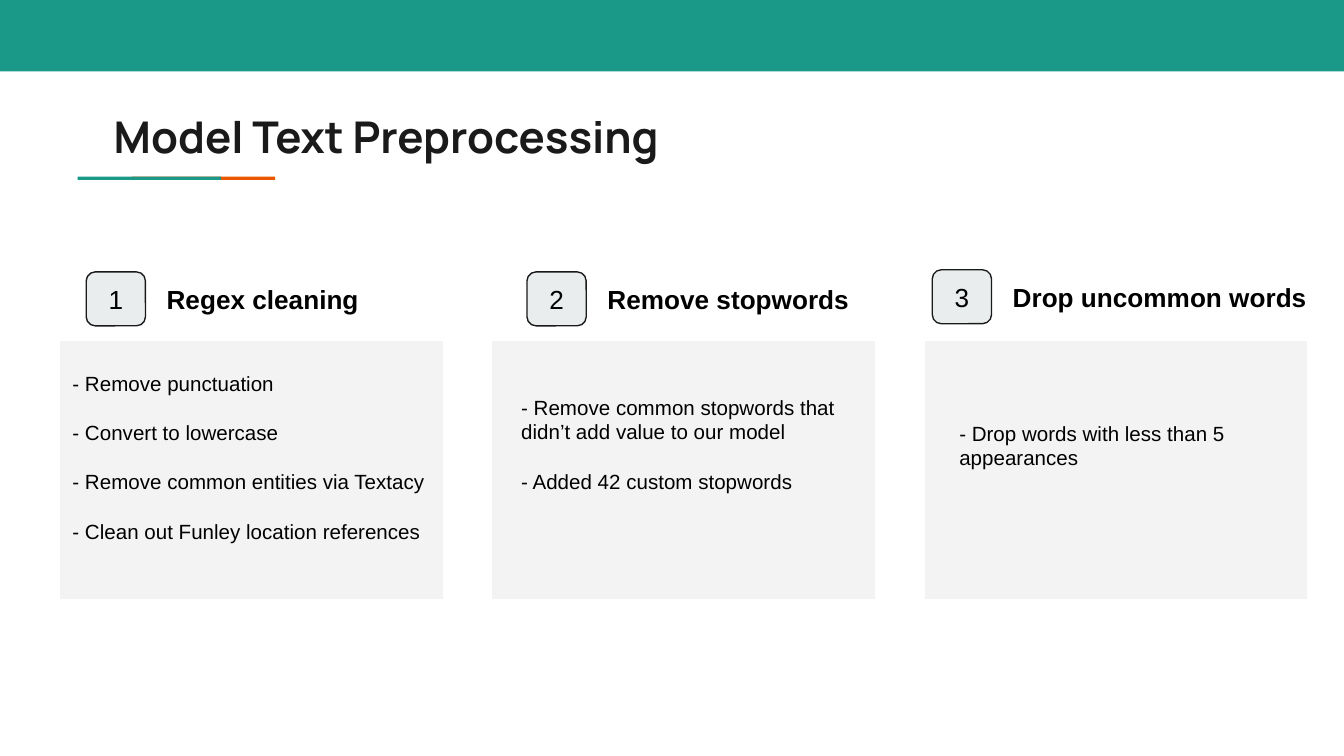
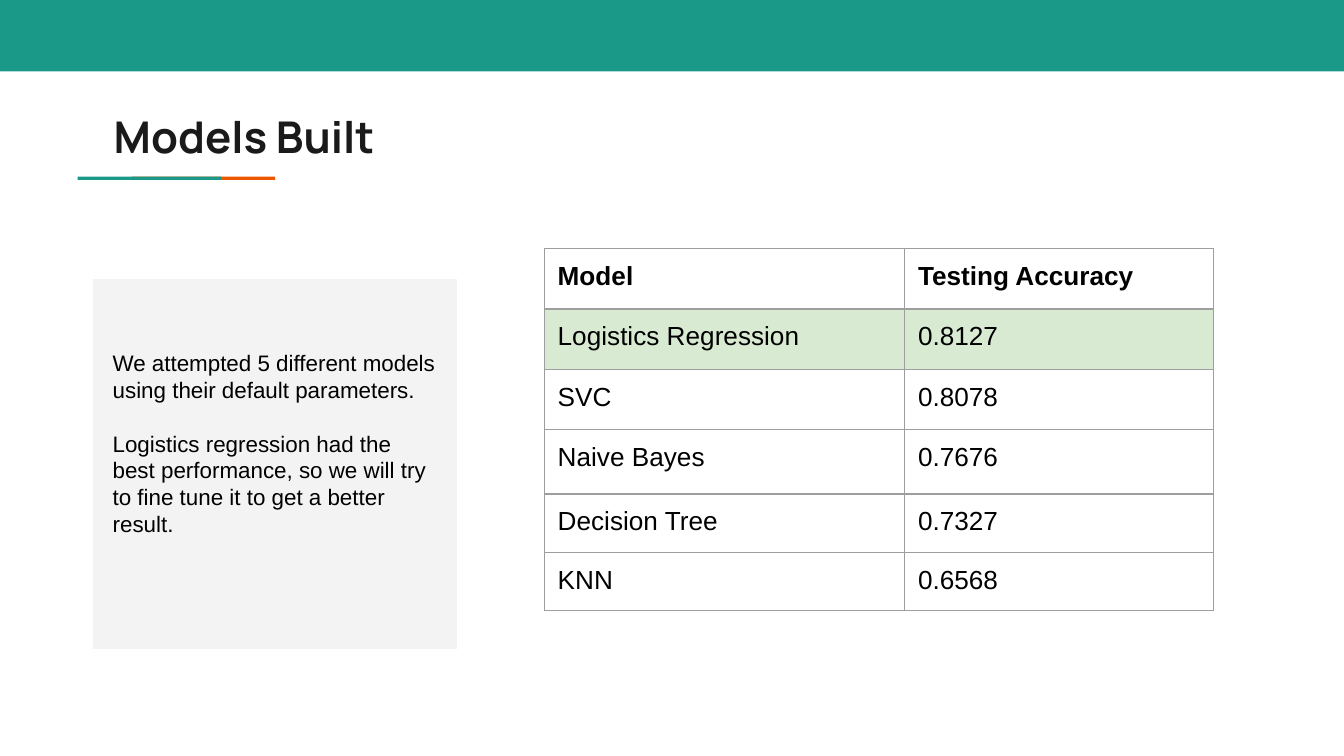
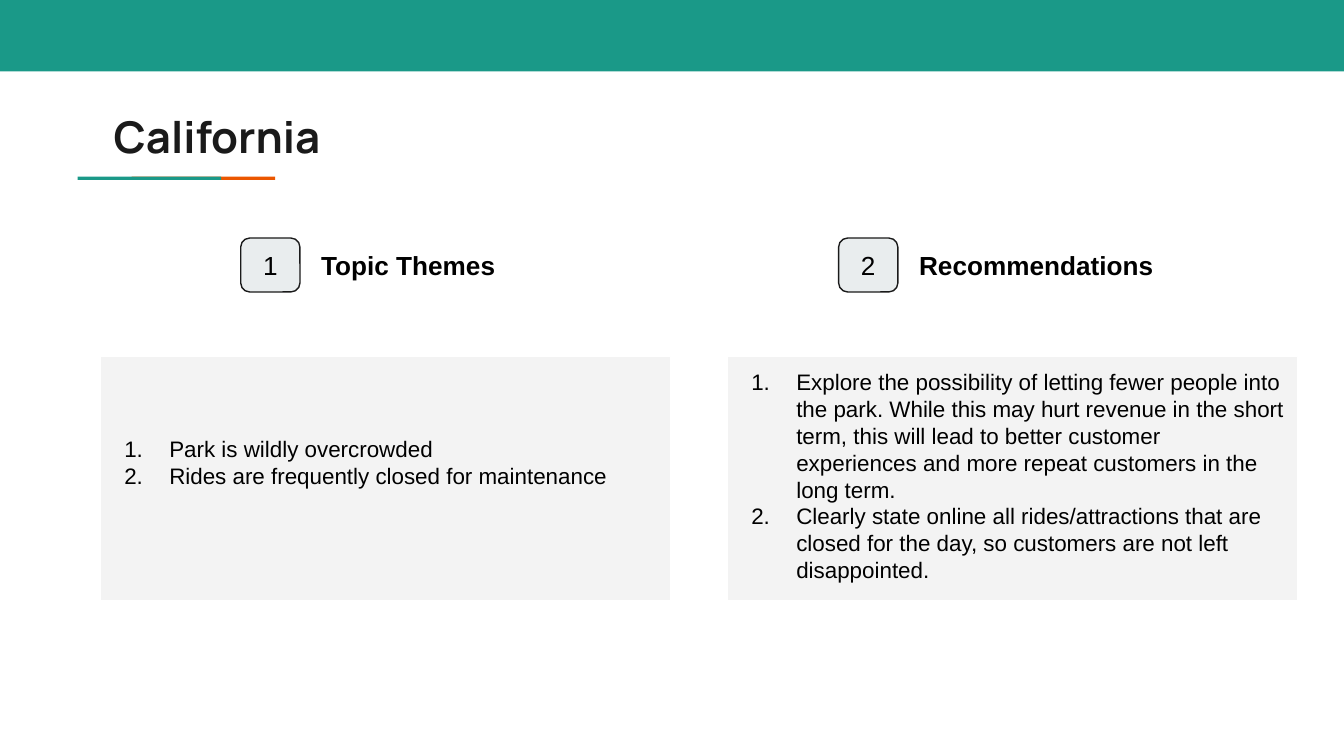
from dataclasses import dataclass

from lxml import etree
from pptx import Presentation
from pptx import util as u
from pptx.dml.color import RGBColor
from pptx.enum import shapes, text
from pptx.oxml.ns import qn
from pptx.slide import Slide

# Shared look
TEAL = RGBColor(0x1A, 0x99, 0x88)
ORANGE = RGBColor(0xEB, 0x56, 0x00)
INK = RGBColor(0x1A, 0x1A, 0x1A)
BLACK = RGBColor(0x00, 0x00, 0x00)
WHITE = RGBColor(0xFF, 0xFF, 0xFF)
PANEL = RGBColor(0xF3, 0xF3, 0xF3)
BADGE = RGBColor(0xE9, 0xED, 0xEE)
BEST_ROW = RGBColor(0xD9, 0xEA, 0xD3)
BORDER = RGBColor(0x9E, 0x9E, 0x9E)
BODY_FONT, TITLE_FONT = "Arial", "Manrope"
SLIDE_WIDTH, SLIDE_HEIGHT = u.Cm(25.4), u.Cm(14.29)
INSET = u.Cm(0.25)
HAIRLINE = u.Pt(0.75)


@dataclass(frozen=True)
class Box:
    """A rectangle in centimetres."""
    left: float
    top: float
    width: float
    height: float

    def lengths(self) -> list[u.Length]:
        return [u.Cm(side) for side in (self.left, self.top, self.width, self.height)]


@dataclass(frozen=True)
class Style:
    size: float
    bold: bool = False
    color: RGBColor = BLACK
    font: str = BODY_FONT


@dataclass(frozen=True)
class Heading:
    label: str
    left: float
    top: float
    width: float


@dataclass(frozen=True)
class Body:
    box: Box
    paragraphs: list[str]
    style: Style
    gap: float = 0
    numbered: bool = False


TITLE = Style(23.4, True, INK, TITLE_FONT)
HEADING = Style(14, True)
LARGE = Style(14)
MEDIUM = Style(12)
SMALL = Style(11)


# Building blocks
def add_run(paragraph, words: str, style: Style) -> None:
    run = paragraph.add_run()
    run.text = words
    run.font.name = style.font
    run.font.size = u.Pt(style.size)
    run.font.bold = style.bold
    run.font.color.rgb = style.color


def set_margins(target) -> None:
    target.margin_left = target.margin_right = INSET
    target.margin_top = target.margin_bottom = INSET


def number_paragraph(paragraph) -> None:
    properties = paragraph._p.get_or_add_pPr()
    properties.set("marL", str(u.Cm(1.27)))
    properties.set("indent", str(u.Cm(-0.85)))
    color = etree.SubElement(properties, qn("a:buClr"))
    etree.SubElement(color, qn("a:srgbClr"), val=str(BLACK))
    etree.SubElement(properties, qn("a:buFont"), typeface=BODY_FONT)
    etree.SubElement(properties, qn("a:buAutoNum"), type="arabicPeriod")


def add_text(slide: Slide, body: Body) -> None:
    frame = slide.shapes.add_textbox(*body.box.lengths()).text_frame
    frame.word_wrap = True
    set_margins(frame)
    for index, words in enumerate(body.paragraphs):
        paragraph = frame.add_paragraph() if index else frame.paragraphs[0]
        if body.numbered:
            number_paragraph(paragraph)
        if index and body.gap:
            paragraph.space_before = u.Pt(body.gap)
        add_run(paragraph, words, body.style)


def add_block(slide: Slide, box: Box, fill: RGBColor, line: RGBColor | None = None,
              kind=shapes.MSO_SHAPE.RECTANGLE):
    shape = slide.shapes.add_shape(kind, *box.lengths())
    shape.shadow.inherit = False
    shape.fill.solid()
    shape.fill.fore_color.rgb = fill
    if line is None:
        shape.line.fill.background()
    else:
        shape.line.color.rgb = line
        shape.line.width = HAIRLINE
    return shape


def add_heading(slide: Slide, number: int, heading: Heading) -> None:
    badge = add_block(slide, Box(heading.left, heading.top, 1.12, 1.02), BADGE, INK,
                      shapes.MSO_SHAPE.ROUNDED_RECTANGLE)
    frame = badge.text_frame
    set_margins(frame)
    frame.vertical_anchor = text.MSO_ANCHOR.MIDDLE
    paragraph = frame.paragraphs[0]
    paragraph.alignment = text.PP_ALIGN.CENTER
    add_run(paragraph, str(number), LARGE)
    label_box = Box(heading.left + 1.27, heading.top - 0.03, heading.width, 1.12)
    add_text(slide, Body(label_box, [heading.label], HEADING))


def add_columns(slide: Slide, first: Box, step: float,
                headings: list[Heading], bodies: list[Body]) -> None:
    """Equal panels in a row, each with a numbered heading and its text."""
    for index, (heading, body) in enumerate(zip(headings, bodies)):
        panel = Box(first.left + index * step, first.top, first.width, first.height)
        add_block(slide, panel, PANEL, WHITE)
        add_heading(slide, index + 1, heading)
        add_text(slide, body)


def add_titled_slide(presentation, title: str) -> Slide:
    slide = presentation.slides.add_slide(presentation.slide_layouts[6])
    add_block(slide, Box(0, 0, 25.4, 1.35), TEAL)
    # The teal rule overlaps the orange one
    for left, color in ((2.49, ORANGE), (1.47, TEAL)):
        add_block(slide, Box(left, 3.34, 2.71, 0.06), color)
    add_text(slide, Body(Box(1.9, 1.83, 21.36, 1.5), [title], TITLE))
    return slide


def style_cell(cell, words: str, style: Style, fill: RGBColor | None) -> None:
    set_margins(cell)
    add_run(cell.text_frame.paragraphs[0], words, style)
    properties = cell._tc.get_or_add_tcPr()
    for side in ("a:lnL", "a:lnR", "a:lnT", "a:lnB"):
        line = etree.SubElement(properties, qn(side), w=str(HAIRLINE))
        solid = etree.SubElement(line, qn("a:solidFill"))
        etree.SubElement(solid, qn("a:srgbClr"), val=str(BORDER))
    if fill is None:
        cell.fill.background()
    else:
        cell.fill.solid()
        cell.fill.fore_color.rgb = fill


# Slides
def build_preprocessing(presentation) -> None:
    slide = add_titled_slide(presentation, "Model Text Preprocessing")
    headings = [
        Heading("Regex cleaning", 1.63, 5.14, 4.19),
        Heading("Remove stopwords", 9.96, 5.14, 5.21),
        Heading("Drop uncommon words", 17.62, 5.1, 6.4),
    ]
    bodies = [
        Body(Box(1.12, 6.76, 7.26, 4.27),
             ["- Remove punctuation", "- Convert to lowercase",
              "- Remove common entities via Textacy",
              "- Clean out Funley location references"], SMALL, gap=13.2),
        Body(Box(9.6, 7.21, 7.26, 2.87),
             ["- Remove common stopwords that didn’t add value to our model",
              "- Added 42 custom stopwords"], SMALL, gap=13.2),
        Body(Box(17.88, 7.7, 7.26, 1.93),
             ["- Drop words with less than 5 appearances"], SMALL),
    ]
    add_columns(slide, Box(1.12, 6.43, 7.26, 4.9), 8.17, headings, bodies)


def build_models(presentation) -> None:
    slide = add_titled_slide(presentation, "Models Built")
    rows = [
        ("Model", "Testing Accuracy"),
        ("Logistics Regression", "0.8127"),
        ("SVC", "0.8078"),
        ("Naive Bayes", "0.7676"),
        ("Decision Tree", "0.7327"),
        ("KNN", "0.6568"),
    ]
    widths = (6.81, 5.84)
    heights = (1.14, 1.14, 1.14, 1.22, 1.1, 1.1)
    area = Box(10.29, 4.7, sum(widths), sum(heights))
    table = slide.shapes.add_table(len(rows), len(widths), *area.lengths()).table
    table.first_row = table.horz_banding = False
    for column, width in zip(table.columns, widths):
        column.width = u.Cm(width)
    for index, (values, height) in enumerate(zip(rows, heights)):
        table.rows[index].height = u.Cm(height)
        for position, value in enumerate(values):
            style_cell(table.cell(index, position), value,
                       LARGE if index else HEADING, BEST_ROW if index == 1 else None)

    # Comment beside the table
    add_block(slide, Box(1.75, 5.26, 6.91, 7.02), PANEL, WHITE)
    add_text(slide, Body(
        Box(1.88, 6.35, 6.68, 4.11),
        ["We attempted 5 different models using their default parameters.",
         "Logistics regression had the best performance, so we will try to fine tune it "
         "to get a better result."], MEDIUM, gap=14.4))


def build_california(presentation) -> None:
    slide = add_titled_slide(presentation, "California")
    headings = [
        Heading("Topic Themes", 4.55, 4.5, 3.96),
        Heading("Recommendations", 15.85, 4.5, 5.28),
    ]
    bodies = [
        Body(Box(1.68, 7.98, 11.33, 1.55),
             ["Park is wildly overcrowded", "Rides are frequently closed for maintenance"],
             MEDIUM, numbered=True),
        Body(Box(13.53, 6.71, 11, 4.62),
             ["Explore the possibility of letting fewer people into the park. While this may "
              "hurt revenue in the short term, this will lead to better customer experiences "
              "and more repeat customers in the long term.",
              "Clearly state online all rides/attractions that are closed for the day, so "
              "customers are not left disappointed."], MEDIUM, numbered=True),
    ]
    add_columns(slide, Box(1.9, 6.74, 10.77, 4.62), 11.85, headings, bodies)


def main() -> None:
    presentation = Presentation()
    presentation.slide_width, presentation.slide_height = SLIDE_WIDTH, SLIDE_HEIGHT
    build_preprocessing(presentation)
    build_models(presentation)
    build_california(presentation)
    presentation.save("out.pptx")


if __name__ == "__main__":
    main()
